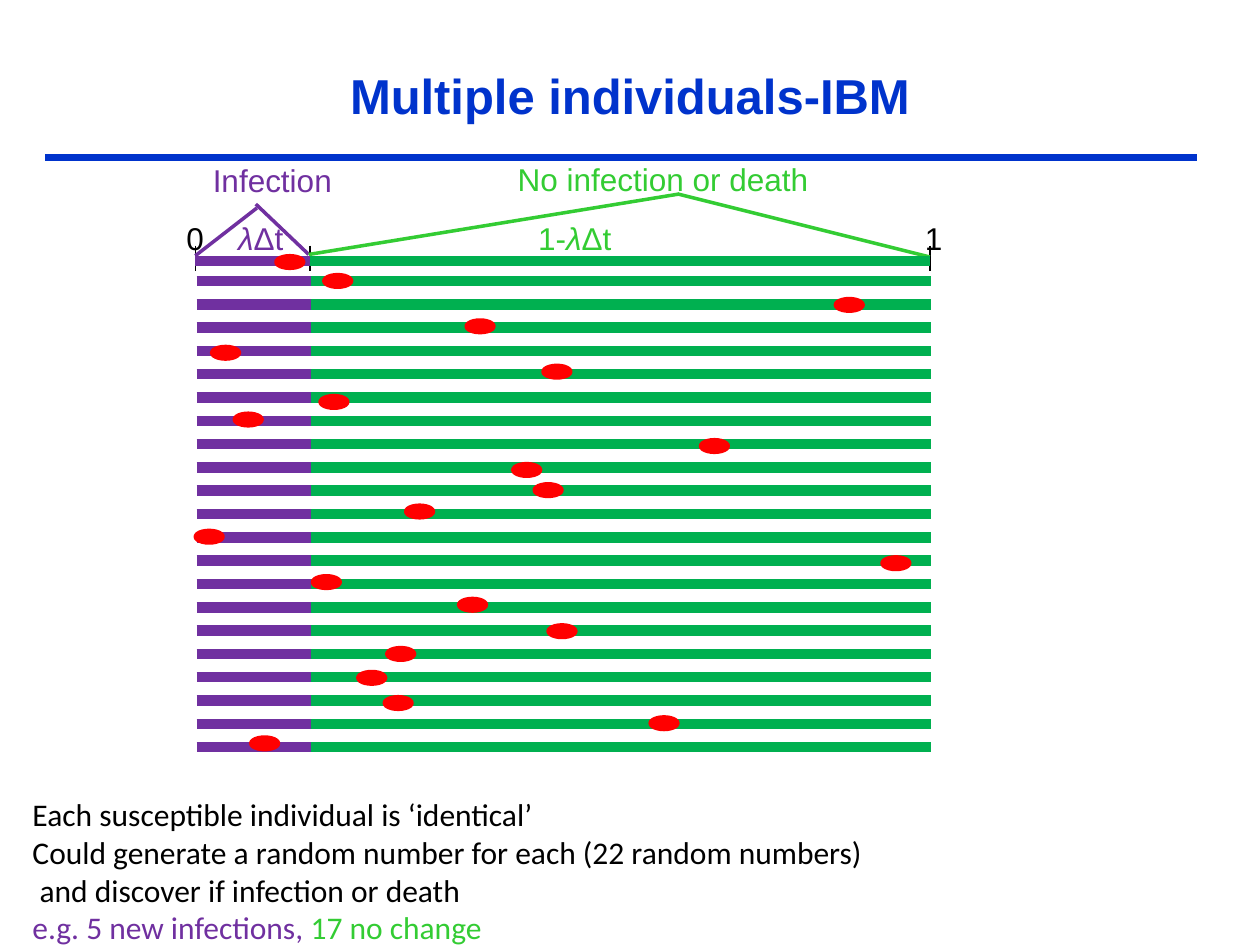
from dataclasses import dataclass

from lxml.etree import SubElement
from pptx import Presentation
from pptx.dml.color import RGBColor
from pptx.enum.shapes import MSO_CONNECTOR as Connector, MSO_SHAPE as Shape
from pptx.enum.text import MSO_ANCHOR as Anchor, MSO_AUTO_SIZE as AutoSize, PP_ALIGN as Align
from pptx.oxml.ns import qn
from pptx.util import Inches, Pt


@dataclass(frozen=True)
class Theme:
    title: str = "0033CC"
    ink: str = "000000"
    infection: str = "7030A0"
    escape: str = "33CC33"
    escape_bar: str = "00B050"
    draw: str = "FF0000"
    font: str = "Arial"
    summary_font: str = "Calibri"
    title_size: int = 28
    text_size: int = 18
    rule: float = 4.5
    bar: float = 6
    bracket: float = 2
    axis: float = 0.75


THEME = Theme()

TITLE = [[("Multiple individuals-IBM", THEME.title)]]
INFECTION = [[("Infection", THEME.infection)]]
NO_CHANGE = [[("No infection or death", THEME.escape)]]
PROBABILITIES = [[
    ("0\t", THEME.ink),
    ("λ", THEME.infection, True), ("Δt\t", THEME.infection),
    ("1-", THEME.escape), ("λ", THEME.escape, True), ("Δt\t", THEME.escape),
    ("1", THEME.ink),
]]
SUMMARY = [
    [("Each susceptible individual is ‘identical’", THEME.ink)],
    [("Could generate a random number for each (22 random numbers)", THEME.ink)],
    [(" and discover if infection or death", THEME.ink)],
    [("e.g. 5 new infections, ", THEME.infection), ("17 no change", THEME.escape)],
]
RANDOM_DRAWS = [
    (2.19, 2.03), (2.57, 2.18), (6.63, 2.37), (3.70, 2.54), (1.68, 2.75), (4.31, 2.90),
    (2.54, 3.14), (1.86, 3.28), (5.56, 3.49), (4.07, 3.68), (4.24, 3.84), (3.22, 4.01),
    (1.55, 4.21), (7.00, 4.42), (2.48, 4.57), (3.64, 4.75), (4.35, 4.96), (3.07, 5.14),
    (2.84, 5.33), (3.05, 5.53), (5.16, 5.69), (1.99, 5.85),
]
DRAW_SIZE = (0.22, 0.10)

ZERO, THRESHOLD, MIDWAY, ONE = 1.55, 2.46, 3.49, 7.38
AXIS_Y, TICK = 2.05, 0.10
FIRST_BAR, SECOND_BAR, LAST_BAR = 2.07, 2.23, 5.93
BAR_STEP = (LAST_BAR - SECOND_BAR) / (len(RANDOM_DRAWS) - 2)
BAR_SHIFT = 0.01
SEGMENTS = [
    (ZERO, THRESHOLD, THEME.infection),
    (THRESHOLD, MIDWAY, THEME.escape_bar),
    (MIDWAY, ONE, THEME.escape_bar),
]
BRACKETS = [
    ((ZERO, 2.03), (2.04, 1.65), THEME.infection),
    ((2.45, 2.02), (2.03, 1.62), THEME.infection),
    ((2.45, 2.02), (5.39, 1.54), THEME.escape),
    ((5.38, 1.54), (ONE, 2.04), THEME.escape),
]
TABS = (0.41, 2.79, 5.86)


def write(shape, paragraphs, font=THEME.font, size=THEME.text_size, bold=False,
          align=Align.LEFT, anchor=Anchor.TOP, wrap=False, fit=AutoSize.SHAPE_TO_FIT_TEXT):
    frame = shape.text_frame
    frame.word_wrap, frame.auto_size, frame.vertical_anchor = wrap, fit, anchor
    for index, pieces in enumerate(paragraphs):
        paragraph = frame.paragraphs[0] if index == 0 else frame.add_paragraph()
        paragraph.alignment = align
        for words, color, *italic in pieces:
            run = paragraph.add_run()
            run.text = words
            run.font.name, run.font.size, run.font.bold = font, Pt(size), bold
            run.font.italic = bool(italic)
            run.font.color.rgb = RGBColor.from_string(color)
    return frame


def place(shape, *box):
    shape.left, shape.top, shape.width, shape.height = map(Inches, box)
    return shape


def text_box(slide, *box):
    return slide.shapes.add_textbox(*map(Inches, box))


def draw_line(slide, start, end, color, width):
    line = slide.shapes.add_connector(Connector.STRAIGHT, *map(Inches, (*start, *end)))
    line.line.color.rgb = RGBColor.from_string(color)
    line.line.width = Pt(width)
    SubElement(line._element.spPr, qn("a:effectLst"))


def set_tabs(paragraph, positions):
    tabs = SubElement(paragraph._p.get_or_add_pPr(), qn("a:tabLst"))
    for position in positions:
        SubElement(tabs, qn("a:tab"), pos=str(Inches(position)), algn="l")


def add_axis(slide):
    probabilities = write(text_box(slide, 1.32, 1.69, 6.85, 0.4), PROBABILITIES, wrap=True)
    probabilities.margin_left = Inches(0.16)
    set_tabs(probabilities.paragraphs[0], TABS)
    draw_line(slide, (ZERO, AXIS_Y), (ONE, AXIS_Y), THEME.ink, THEME.axis)
    for x in (ZERO, THRESHOLD, ONE):
        draw_line(slide, (x, AXIS_Y - TICK), (x, AXIS_Y + TICK), THEME.ink, THEME.axis)
    for start, end, color in BRACKETS:
        draw_line(slide, start, end, color, THEME.bracket)
    write(text_box(slide, 1.59, 1.23, 1.15, 0.4), INFECTION)
    write(text_box(slide, 4.01, 1.22, 2.53, 0.4), NO_CHANGE)


def add_individuals(slide):
    for row in range(len(RANDOM_DRAWS)):
        y = SECOND_BAR + BAR_STEP * (row - 1) if row else FIRST_BAR
        shift = BAR_SHIFT if row else 0
        for left, right, color in SEGMENTS:
            draw_line(slide, (left + shift, y), (right + shift, y), color, THEME.bar)


def add_draws(slide):
    group = slide.shapes.add_group_shape()
    red = RGBColor.from_string(THEME.draw)
    for corner in RANDOM_DRAWS:
        dot = group.shapes.add_shape(Shape.OVAL, *map(Inches, (*corner, *DRAW_SIZE)))
        dot.shadow.inherit = False
        dot.fill.solid()
        dot.fill.fore_color.rgb = red
        dot.line.color.rgb = red
        dot.line.width = Pt(THEME.bracket)


def main():
    deck = Presentation()
    deck.slide_width, deck.slide_height = Inches(10), Inches(7.5)
    slide = deck.slides.add_slide(deck.slide_layouts[5])
    draw_line(slide, (0.36, 1.25), (9.5, 1.25), THEME.title, THEME.rule)
    add_axis(slide)
    add_individuals(slide)
    write(place(slide.shapes.title, 0.5, 0.34, 9, 0.83), TITLE, size=THEME.title_size,
          bold=True, align=Align.CENTER, anchor=Anchor.MIDDLE, wrap=True, fit=AutoSize.NONE)
    write(text_box(slide, 0.16, 6.26, 6.87, 1.31), SUMMARY, font=THEME.summary_font)
    add_draws(slide)
    deck.save("out.pptx")


if __name__ == "__main__":
    main()
